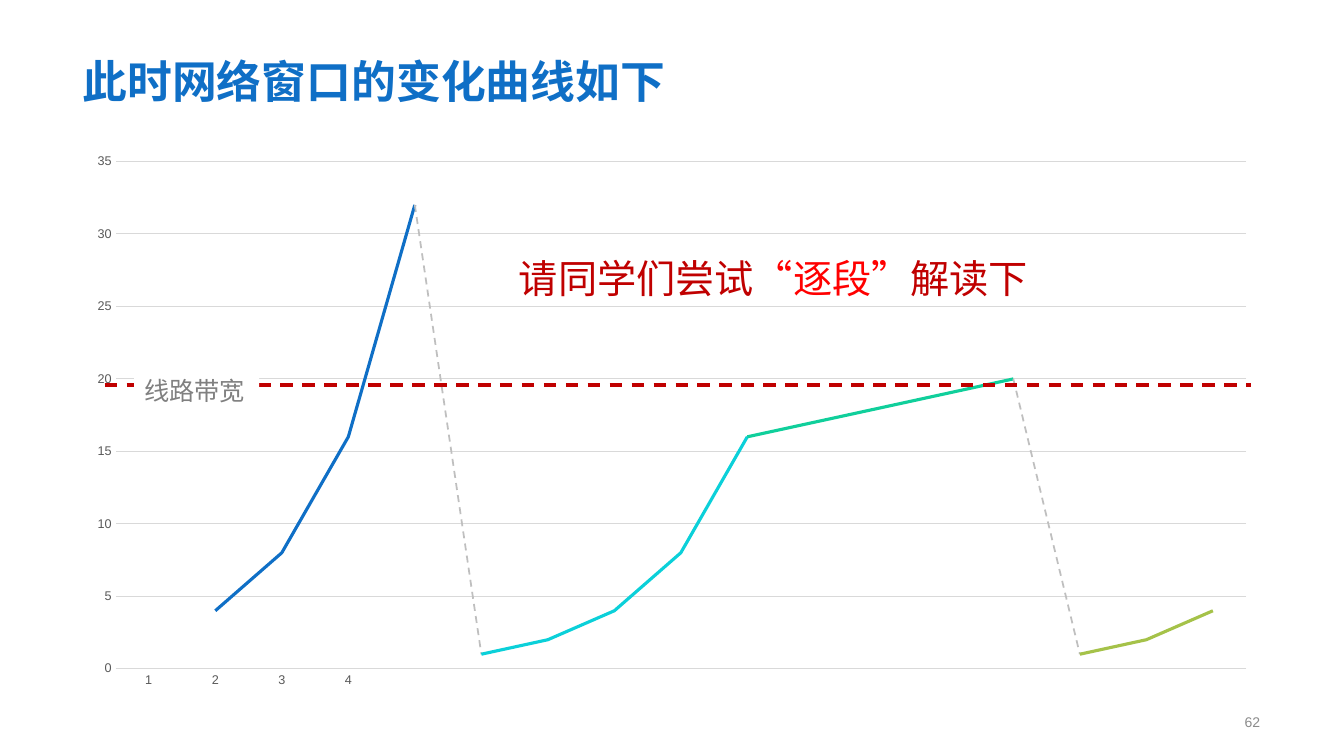
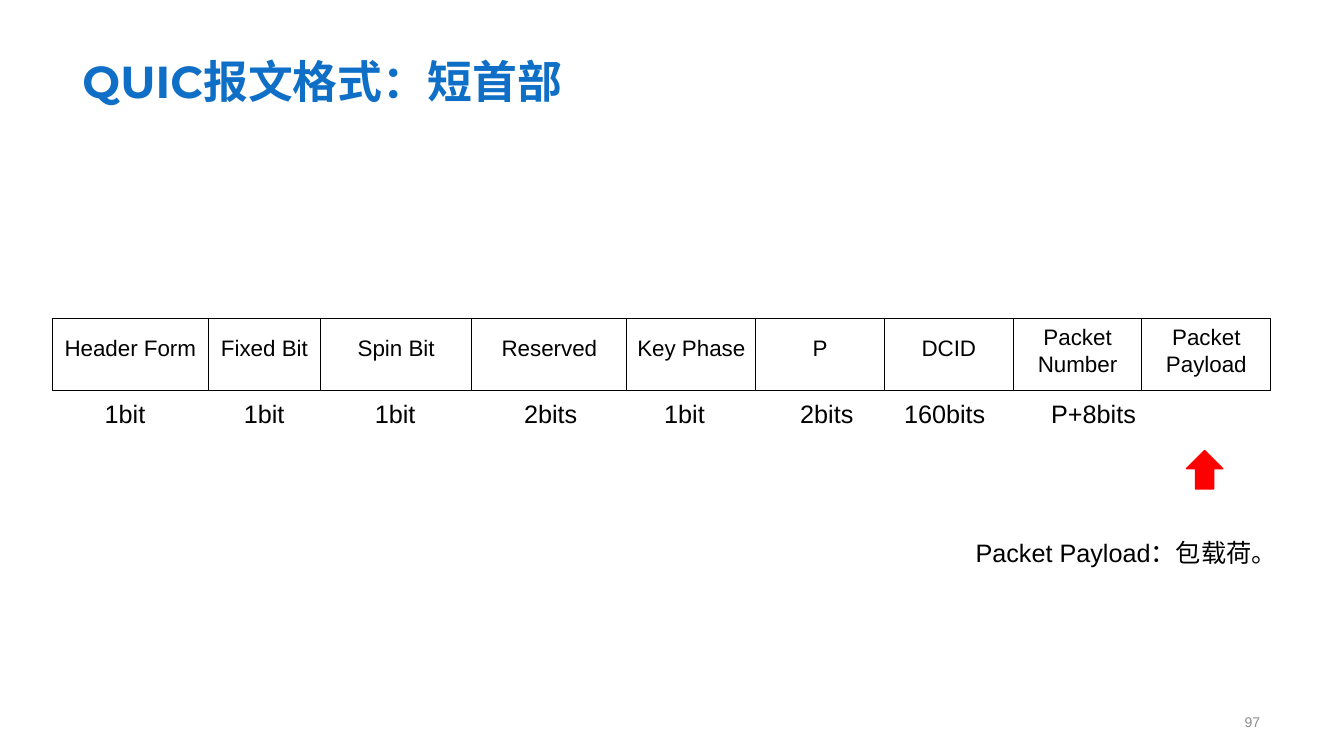
from itertools import accumulate

from lxml import etree
from pptx import Presentation
from pptx.chart.data import CategoryChartData
from pptx.dml.color import RGBColor
from pptx.enum.chart import XL_CHART_TYPE, XL_TICK_MARK
from pptx.enum.dml import MSO_LINE
from pptx.enum.shapes import MSO_CONNECTOR, MSO_SHAPE
from pptx.enum.text import MSO_ANCHOR, MSO_AUTO_SIZE, PP_ALIGN
from pptx.oxml.ns import qn
from pptx.util import Inches, Pt

# Enum members
LINE_CHART = XL_CHART_TYPE.LINE
NO_TICK = XL_TICK_MARK.NONE
DASH = MSO_LINE.DASH
STRAIGHT = MSO_CONNECTOR.STRAIGHT
RECTANGLE, UP_ARROW = MSO_SHAPE.RECTANGLE, MSO_SHAPE.UP_ARROW
TOP, MIDDLE, BOTTOM = MSO_ANCHOR.TOP, MSO_ANCHOR.MIDDLE, MSO_ANCHOR.BOTTOM
GROW = MSO_AUTO_SIZE.SHAPE_TO_FIT_TEXT
LEFT, CENTER = PP_ALIGN.LEFT, PP_ALIGN.CENTER
RIGHT, JUSTIFY = PP_ALIGN.RIGHT, PP_ALIGN.JUSTIFY

# Colours
BLUE = RGBColor(0x0F, 0x6F, 0xC6)
CYAN = RGBColor(0x0B, 0xD0, 0xD9)
TEAL = RGBColor(0x10, 0xCF, 0x9B)
OLIVE = RGBColor(0xA5, 0xC2, 0x49)
DROP_GREY = RGBColor(0xBF, 0xBF, 0xBF)
GRID_GREY = RGBColor(0xD9, 0xD9, 0xD9)
AXIS_GREY = RGBColor(0x59, 0x59, 0x59)
LABEL_GREY = RGBColor(0x80, 0x80, 0x80)
NUMBER_GREY = RGBColor(0x8C, 0x8C, 0x8C)
DARK_RED = RGBColor(0xC0, 0x00, 0x00)
RED = RGBColor(0xFF, 0x00, 0x00)
BLACK = RGBColor(0x00, 0x00, 0x00)
WHITE = RGBColor(0xFF, 0xFF, 0xFF)


class Deck:
    """Shared style and current slide; lengths are percent of the slide."""

    BODY_FONT, TITLE_FONT = "Arial", "Montserrat"

    def __init__(self):
        self.file = Presentation()
        self.file.slide_width = Inches(13.33)
        self.file.slide_height = Inches(7.5)
        self.slide = None

    def x(self, share):
        return round(self.file.slide_width * share / 100)

    def y(self, share):
        return round(self.file.slide_height * share / 100)

    def area(self, left, top, width, height):
        return self.x(left), self.y(top), self.x(width), self.y(height)

    def new_slide(self, title, number):
        self.slide = self.file.slides.add_slide(self.file.slide_layouts[6])
        self.text((63.75, 93.47, 30.75, 4), [(number, NUMBER_GREY)], 10,
                  align=RIGHT, anchor=MIDDLE)
        self.text((5.4, 1.87, 89.1, 13.07), [(title, BLUE)], 32,
                  anchor=BOTTOM, font=self.TITLE_FONT, bold=True)

    def fill_text(self, shape, runs, size, align=LEFT, anchor=TOP,
                  font=BODY_FONT, bold=False, spacing=None, wrap=True,
                  grow=False, indent=0):
        frame = shape.text_frame
        frame.word_wrap = wrap
        frame.vertical_anchor = anchor
        if grow:
            frame.auto_size = GROW
        paragraph = frame.paragraphs[0]
        paragraph.alignment = align
        if spacing:
            paragraph.line_spacing = spacing
        if indent:
            paragraph._p.get_or_add_pPr().set("indent", str(self.x(indent)))
        for words, color in runs:
            run = paragraph.add_run()
            run.text = words
            run.font.name = font
            run.font.size = Pt(size)
            run.font.bold = bold
            run.font.color.rgb = color

    def text(self, area, runs, size, **style):
        box = self.slide.shapes.add_textbox(*self.area(*area))
        self.fill_text(box, runs, size, **style)

    def shape(self, kind, area, fill=None, line=None, weight=0.75):
        shape = self.slide.shapes.add_shape(kind, *self.area(*area))
        shape.shadow.inherit = False
        for part, color in ((shape.fill, fill), (shape.line.fill, line)):
            if color is None:
                part.background()
            else:
                part.solid()
                part.fore_color.rgb = color
        if line is not None:
            shape.line.width = Pt(weight)
        return shape

    def field(self, area, name, top_inset):
        cell = self.shape(RECTANGLE, area, line=BLACK)
        cell.text_frame.margin_top = self.y(top_inset)
        self.fill_text(cell, [(name, BLACK)], 16, align=CENTER)

    def dashed_level(self, left, right, top, color, weight):
        level = self.slide.shapes.add_connector(
            STRAIGHT, self.x(left), self.y(top), self.x(right), self.y(top))
        level.line.color.rgb = color
        level.line.width = Pt(weight)
        level.line.dash_style = DASH
        etree.SubElement(level._element.spPr, qn("a:effectLst"))

    def line_chart(self, area, categories, segments):
        data = CategoryChartData()
        data.categories = categories
        for order, (start, values, *_) in enumerate(segments, 1):
            after = len(categories) - start - len(values)
            data.add_series(f"Series {order}",
                            [None] * start + values + [None] * after)
        chart = self.slide.shapes.add_chart(
            LINE_CHART, *self.area(*area), data).chart
        chart.has_legend = chart.has_title = False
        chart.font.name = self.BODY_FONT
        chart.font.size = Pt(10)
        chart.font.color.rgb = BLACK
        chart.plots[0].vary_by_categories = False

        for series, (_, _, color, dashed) in zip(chart.series, segments):
            series.smooth = False
            line = series.format.line
            line.color.rgb = color
            line.width = Pt(1.25 if dashed else 2.25)
            if dashed:
                line.dash_style = DASH

        steps, sizes = chart.category_axis, chart.value_axis
        for axis in (steps, sizes):
            axis.major_tick_mark = axis.minor_tick_mark = NO_TICK
            font = axis.tick_labels.font
            font.name = self.BODY_FONT
            font.size = Pt(9)
            font.color.rgb = AXIS_GREY
        sizes.minimum_scale, sizes.maximum_scale = 0, 35
        sizes.major_unit = 5
        sizes.format.line.fill.background()
        for line in (steps.format.line, sizes.major_gridlines.format.line):
            line.color.rgb = GRID_GREY
            line.width = Pt(0.75)


def window_curve(deck):
    deck.new_slide("此时网络窗口的变化曲线如下", "62")

    # Window size: first step, sizes, colour, dashed
    segments = [
        (1, [4, 8, 16, 32], BLUE, False),
        (4, [32, 1], DROP_GREY, True),
        (5, [1, 2, 4, 8, 16], CYAN, False),
        (9, [16, 17, 18, 19, 20], TEAL, False),
        (13, [20, 1], DROP_GREY, True),
        (14, [1, 2, 4], OLIVE, False),
    ]
    steps = ["1", "2", "3", "4"] + [""] * 13
    deck.line_chart((5.48, 18.93, 89.02, 73.47), steps, segments)

    # Line bandwidth
    deck.dashed_level(7.8, 93.08, 50.93, DARK_RED, 2.25)
    bandwidth = deck.shape(RECTANGLE, (9.98, 48.13, 9.3, 5.73), fill=WHITE)
    deck.fill_text(bandwidth, [("线路带宽", LABEL_GREY)], 18,
                   spacing=1.2, grow=True)

    # Task for the class
    task = [("请同学们尝试", DARK_RED), ("“逐段”", RED), ("解读下", DARK_RED)]
    deck.text((37.88, 31.73, 49.95, 8.27), task, 28, spacing=1.2, grow=True)


def short_header(deck):
    deck.new_slide("QUIC报文格式：短首部", "97")

    # Packet fields, side by side
    fields = [("Header Form", 11.6), ("Fixed Bit", 8.35), ("Spin Bit", 11.25),
              ("Reserved", 11.55), ("Key Phase", 9.58), ("P", 9.58),
              ("DCID", 9.58), ("Packet Number", 9.58),
              ("Packet Payload", 9.58)]
    lefts = accumulate((width for _, width in fields), initial=3.9)
    for (name, width), left in zip(fields, lefts):
        two_lines = name.startswith("Packet")
        deck.field((left, 42.13, width, 9.47), name,
                   0.67 if two_lines else 2.13)

    # Field lengths: left, text, width
    lengths = [(7.05, "1bit", 4.58), (17.4, "1bit", 4.58),
               (27.15, "1bit", 4.58), (38.25, "2bits", 5.48),
               (48.68, "1bit", 4.58), (58.8, "2bits", 5.48),
               (66.53, "160bits", 7.65), (77.48, "P+8bits", 7.88)]
    for left, length, width in lengths:
        deck.text((left, 52.07, width, 5.33), [(length, BLACK)], 18,
                  wrap=False, grow=True)

    # Payload explanation
    deck.shape(UP_ARROW, (88.28, 59.6, 2.7, 5.07), RED, RED, 1)
    deck.text((69.6, 68.4, 27.68, 6.67), [("Packet Payload：包载荷。", BLACK)],
              18, align=JUSTIFY, spacing=1.5, grow=True, indent=2.25)


def main():
    deck = Deck()
    window_curve(deck)
    short_header(deck)
    deck.file.save("out.pptx")


if __name__ == "__main__":
    main()
